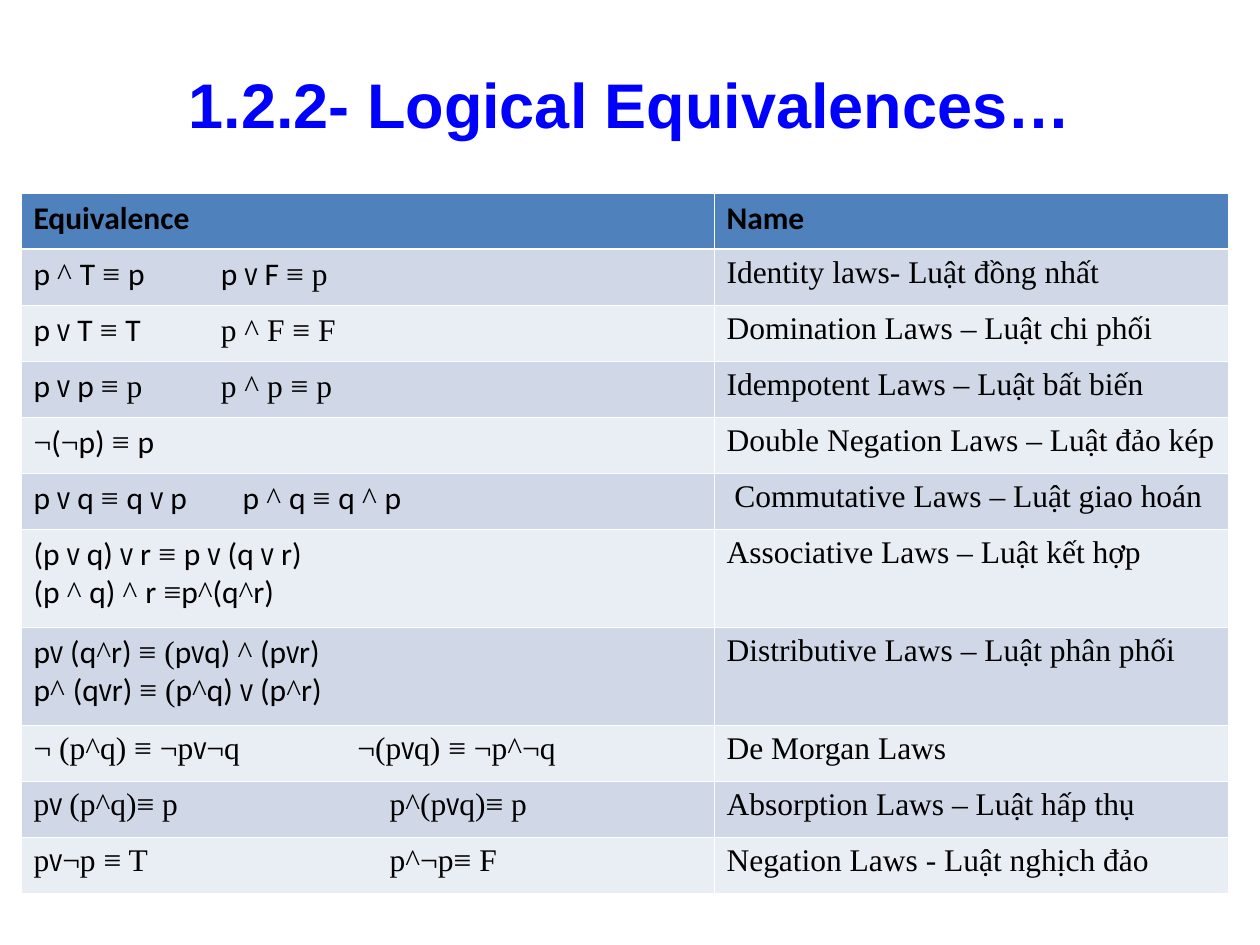
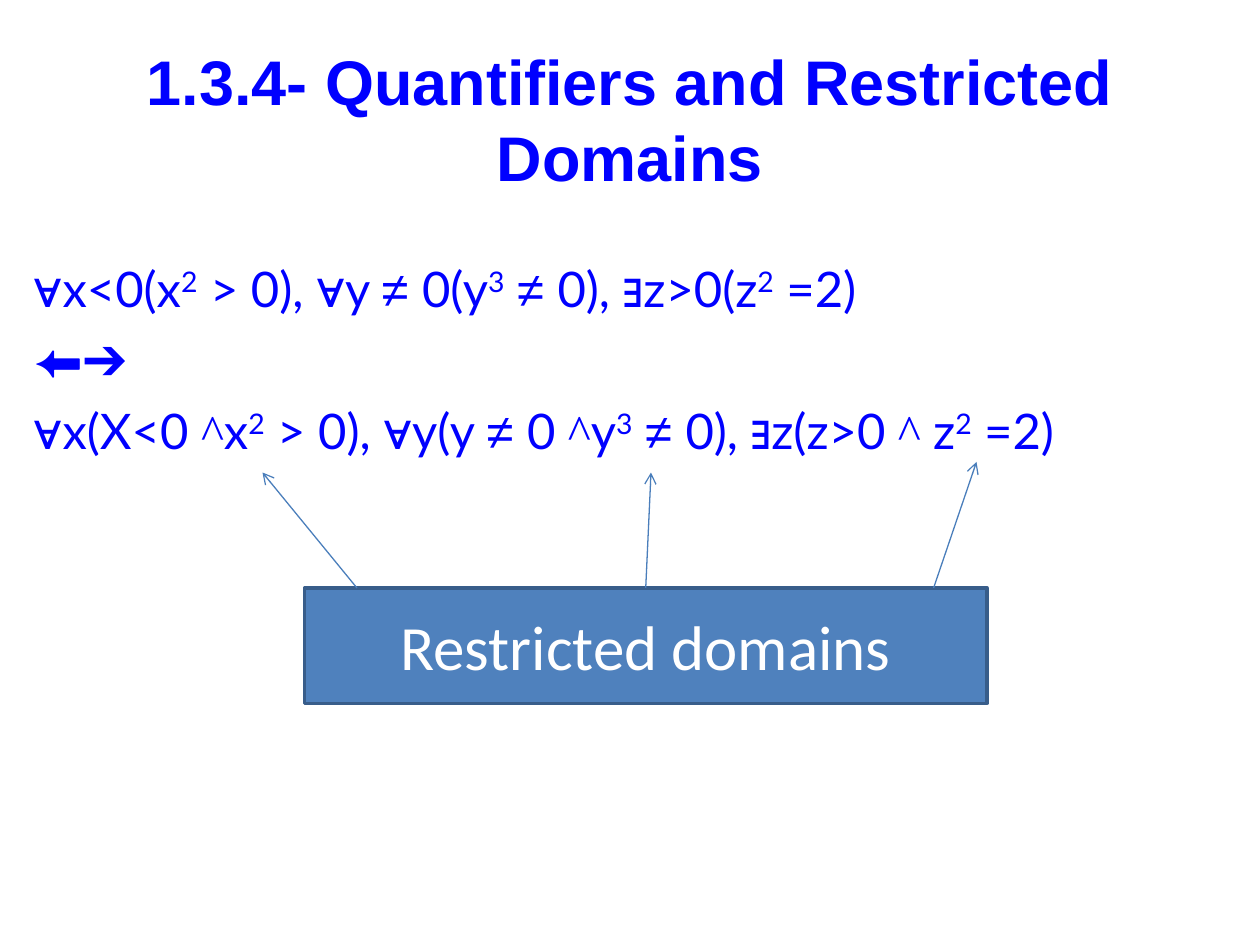
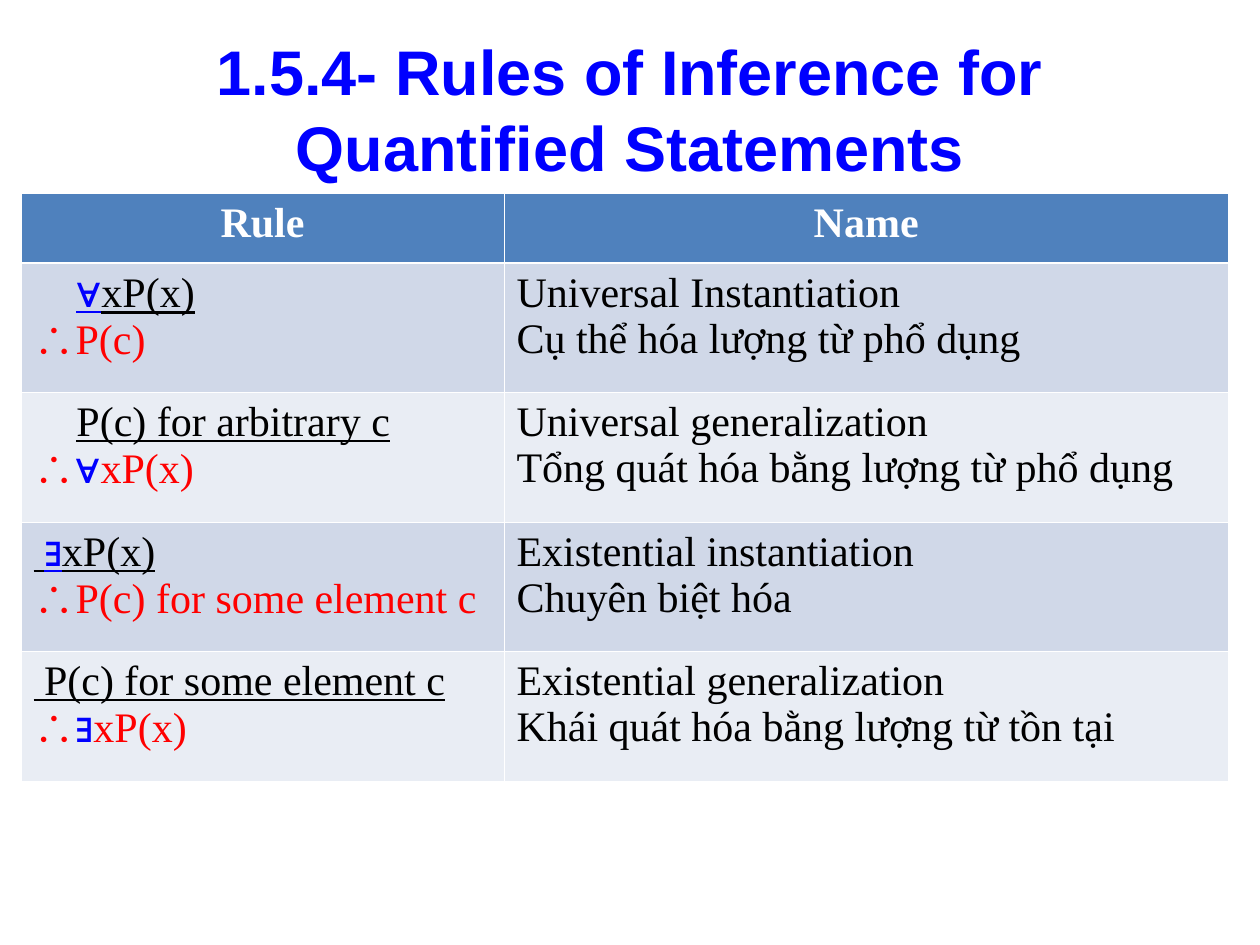
from itertools import groupby
from typing import Callable, NamedTuple, Optional

from lxml.etree import SubElement
from pptx import Presentation
from pptx.dml.color import RGBColor
from pptx.enum.shapes import MSO_CONNECTOR, MSO_SHAPE
from pptx.enum.text import MSO_ANCHOR, MSO_AUTO_SIZE, PP_ALIGN
from pptx.oxml.ns import qn
from pptx.util import Emu, Pt

EMU_PER_PX = 6350  # 144 px to the inch

BLUE, RED, BLACK, WHITE = "0000FF", "FF0000", "000000", "FFFFFF"
ACCENT, ACCENT_EDGE, ARROW_BLUE = "4F81BD", "385D8A", "4A7EBB"
BANDS = ("D0D8E8", "E9EDF4")
SERIF, SANS, NARROW = "Times New Roman", "Calibri", "Arial Narrow"
TITLE_FONT, SYMBOL_FONT, STATEMENT_FONT = "Arial", "Arial", "Lato"

TABLE_LEFT, TABLE_TOP = 24, 221
THIN, THICK = 0.45, 1.47


class Box(NamedTuple):
    left: int
    top: int
    width: int
    height: int


class Style(NamedTuple):
    font: str
    size: int
    color: str
    bold: bool = False
    underline: bool = False
    raised: bool = False


class Piece(NamedTuple):
    text: str
    style: Style


class Line(NamedTuple):
    pieces: list[Piece]
    tab: int = 0


class Law(NamedTuple):
    """Symbols get their own fonts; text inside braces is set in serif."""
    formulas: tuple[str, ...]
    name: str
    tab: int = 0


class Rule(NamedTuple):
    premise: str
    conclusion: str
    name: str
    vietnamese: str


class Pointer(NamedTuple):
    start: tuple[int, int]
    end: tuple[int, int]
    from_middle: bool = False


LAWS = (
    Law(("p ^ T ≡ p\tp v F ≡ {p}",), "Identity laws- Luật đồng nhất", 214),
    Law(("p v T ≡ T\t{p ^ F ≡ F}",), "Domination Laws – Luật chi phối", 214),
    Law(("p v p ≡ {p\tp ^ p ≡ p}",), "Idempotent Laws – Luật bất biến", 214),
    Law(("¬(¬p) ≡ p",), "Double Negation Laws – Luật đảo kép"),
    Law(("p v q ≡ q v p\tp ^ q ≡ q ^ p",), " Commutative Laws – Luật giao hoán", 239),
    Law(("(p v q) v r ≡ p v (q v r)", "(p ^ q) ^ r ≡p^(q^r)"),
        "Associative Laws – Luật kết hợp"),
    Law(("pv (q^r) ≡ {(}pvq) ^ (pvr)", "p^ (qvr) ≡ {(}p^q) v (p^r)"),
        "Distributive Laws – Luật phân phối"),
    Law(("{¬ (p^q) ≡ ¬pv¬q\t¬(pvq) ≡ ¬p^¬q}",), "De Morgan Laws", 370),
    Law(("{pv (p^q)≡ p\tp^(pvq)≡ p}",), "Absorption Laws – Luật hấp thụ", 407),
    Law(("{pv¬p ≡ T\tp^¬p≡ F}",), "Negation Laws - Luật nghịch đảo", 407),
)

STATEMENTS = (
    "∀x<0(x² > 0), ∀y ≠ 0(y³ ≠ 0), ∃z>0(z² =2)",
    "⬅➔",
    "∀x(X<0 ^x² > 0), ∀y(y ≠ 0 ^y³ ≠ 0), ∃z(z>0 ^ z² =2)",
)

POINTERS = (
    Pointer((408, 672), (300, 540)),
    Pointer((738, 672), (744, 540), from_middle=True),
    Pointer((1067, 672), (1116, 528)),
)

RULES = (
    Rule("\t∀xP(x)", "∴P(c)", "Universal Instantiation", "Cụ thể hóa lượng từ phổ dụng"),
    Rule("\tP(c) for arbitrary c", "∴∀xP(x)", "Universal generalization",
         "Tổng quát hóa bằng lượng từ phổ dụng"),
    Rule(" ∃xP(x)", "∴P(c) for some element c", "Existential instantiation",
         "Chuyên biệt hóa"),
    Rule(" P(c) for some element c", "∴∃xP(x)", "Existential generalization",
         "Khái quát hóa bằng lượng từ tồn tại"),
)
PREMISE_INDENT = 49


def px(length: int) -> Emu:
    return Emu(length * EMU_PER_PX)


def rgb(color: str) -> RGBColor:
    return RGBColor.from_string(color)


def format_run(run, style: Style) -> None:
    font = run.font
    font.name, font.size = style.font, Pt(style.size)
    font.bold, font.underline = style.bold, style.underline
    font.color.rgb = rgb(style.color)
    if style.raised:
        run._r.get_or_add_rPr().set("baseline", "30000")


def write_lines(frame, lines: list[Line], align=PP_ALIGN.LEFT) -> None:
    for index, line in enumerate(lines):
        paragraph = frame.add_paragraph() if index else frame.paragraphs[0]
        paragraph.alignment = align
        if line.tab:
            stops = SubElement(paragraph._p.get_or_add_pPr(), qn("a:tabLst"))
            SubElement(stops, qn("a:tab"), pos=str(px(line.tab)), algn="l")
        for piece in line.pieces:
            run = paragraph.add_run()
            run.text = piece.text
            format_run(run, piece.style)


def split_by_style(text: str, style_of: Callable[[str], Style]) -> list[Piece]:
    """Cut text where the style changes; a space keeps the style before it."""
    styled: list[Piece] = []
    for char in text:
        keeps = char == " " and styled and not styled[-1].style.raised
        styled.append(Piece(char, styled[-1].style if keeps else style_of(char)))
    return [Piece("".join(piece.text for piece in group), style)
            for style, group in groupby(styled, key=lambda piece: piece.style)]


def formula_pieces(formula: str) -> list[Piece]:
    pieces: list[Piece] = []
    for index, part in enumerate(formula.replace("}", "{").split("{")):
        base = SERIF if index % 2 else SANS
        fonts = {"v": NARROW} | dict.fromkeys("^≡¬", SERIF)
        pieces += split_by_style(
            part, lambda char: Style(fonts.get(char, base), 18, BLACK))
    return pieces


def statement_pieces(statement: str) -> list[Piece]:
    fonts = {"^": SERIF} | dict.fromkeys("∀∃≠⬅➔", SYMBOL_FONT)
    powers = {"²": "2", "³": "3"}
    pieces = split_by_style(statement, lambda char: Style(
        fonts.get(char, STATEMENT_FONT), 28, BLUE, raised=char in powers))
    return [Piece(powers.get(piece.text, piece.text), piece.style) for piece in pieces]


def inference_pieces(text: str, color: str, underline: bool = False) -> list[Piece]:
    def style_of(char: str) -> Style:
        font = SYMBOL_FONT if char in "∀∃∴" else SERIF
        return Style(font, 24, BLUE if char in "∀∃" else color, underline=underline)
    return split_by_style(text, style_of)


def place(shape, box: Box) -> None:
    shape.left, shape.top, shape.width, shape.height = map(px, box)


def add_titled_slide(prs, layout: int, title: str, box: Box):
    slide = prs.slides.add_slide(prs.slide_layouts[layout])
    place(slide.shapes.title, box)
    frame = slide.shapes.title.text_frame
    frame.text = title
    frame.word_wrap, frame.auto_size = True, MSO_AUTO_SIZE.NONE
    frame.vertical_anchor = MSO_ANCHOR.MIDDLE
    frame.paragraphs[0].alignment = PP_ALIGN.CENTER
    format_run(frame.paragraphs[0].runs[0], Style(TITLE_FONT, 36, BLUE, bold=True))
    return slide


def add_borders(cell, top: float, bottom: float) -> None:
    properties = cell._tc.get_or_add_tcPr()
    for side, width in (("L", THIN), ("R", THIN), ("T", top), ("B", bottom)):
        edge = SubElement(properties, qn(f"a:ln{side}"), w=str(Pt(width)))
        SubElement(SubElement(edge, qn("a:solidFill")), qn("a:srgbClr"), val=WHITE)


def add_banded_table(slide, widths: tuple[int, ...], heights: list[int],
                     rows: list[list[list[Line]]], header_align) -> None:
    table = slide.shapes.add_table(
        len(rows), len(widths), px(TABLE_LEFT), px(TABLE_TOP),
        px(sum(widths)), px(sum(heights))).table
    for column, width in zip(table.columns, widths):
        column.width = px(width)
    for index, (height, row) in enumerate(zip(heights, rows)):
        table.rows[index].height = px(height)
        for cell, lines in zip(table.rows[index].cells, row):
            add_borders(cell, THICK if index == 1 else THIN, THIN if index else THICK)
            cell.fill.solid()
            cell.fill.fore_color.rgb = rgb(BANDS[(index - 1) % 2] if index else ACCENT)
            write_lines(cell.text_frame, lines, PP_ALIGN.LEFT if index else header_align)


def plain_cell(style: Style, *texts: str) -> list[Line]:
    return [Line([Piece(text, style)]) for text in texts]


def add_equivalences(prs) -> None:
    slide = add_titled_slide(prs, 5, "1.2.2- Logical Equivalences…", Box(72, 68, 1296, 101))
    header = Style(SANS, 18, BLACK, bold=True)
    rows = [[plain_cell(header, "Equivalence"), plain_cell(header, "Name")]]
    rows += [[[Line(formula_pieces(formula), law.tab) for formula in law.formulas],
              plain_cell(Style(SERIF, 18, BLACK), law.name)] for law in LAWS]
    heights = [64] + [16 + 48 * len(law.formulas) for law in LAWS]
    add_banded_table(slide, (792, 588), heights, rows, PP_ALIGN.LEFT)


def add_pointer(slide, pointer: Pointer, target: Optional[object]) -> None:
    arrow = slide.shapes.add_connector(
        MSO_CONNECTOR.STRAIGHT, *map(px, pointer.start + pointer.end))
    if pointer.from_middle:
        arrow.begin_connect(target, 0)
    arrow.line.color.rgb = rgb(ARROW_BLUE)
    arrow.line.width = Pt(0.75)
    SubElement(arrow.line._get_or_add_ln(), qn("a:tailEnd"), type="arrow")
    SubElement(arrow._element.spPr, qn("a:effectLst"))


def add_restricted_domains(prs) -> None:
    slide = add_titled_slide(prs, 1, "1.3.4- Quantifiers and Restricted Domains",
                             Box(72, 43, 1296, 184))
    body = slide.placeholders[1]
    place(body, Box(24, 288, 1404, 276))
    frame = body.text_frame
    frame.auto_size = MSO_AUTO_SIZE.NONE
    write_lines(frame, [Line(statement_pieces(text)) for text in STATEMENTS])
    for index, paragraph in enumerate(frame.paragraphs):
        properties = paragraph._p.get_or_add_pPr()
        properties.set("marL", str(px(54)))
        properties.set("indent", str(px(-54)))
        SubElement(properties, qn("a:buNone"))
        paragraph.space_before = Pt(7 if index else 0)

    domains = slide.shapes.add_shape(MSO_SHAPE.RECTANGLE, *map(px, Box(348, 672, 780, 132)))
    domains.shadow.inherit = False
    domains.fill.solid()
    domains.fill.fore_color.rgb = rgb(ACCENT)
    domains.line.color.rgb = rgb(ACCENT_EDGE)
    domains.line.width = Pt(2)
    domains.text_frame.vertical_anchor = MSO_ANCHOR.MIDDLE
    write_lines(domains.text_frame, plain_cell(Style(SANS, 36, WHITE), "Restricted domains"),
                PP_ALIGN.CENTER)
    for pointer in POINTERS:
        add_pointer(slide, pointer, domains)


def add_inference_rules(prs) -> None:
    slide = add_titled_slide(prs, 5, "1.5.4- Rules of Inference for Quantified Statements",
                             Box(72, 43, 1296, 161))
    header = Style(SERIF, 24, WHITE, bold=True)
    rows = [[plain_cell(header, "Rule"), plain_cell(header, "Name")]]
    rows += [[[Line(inference_pieces(rule.premise, BLACK, underline=True), PREMISE_INDENT),
               Line(inference_pieces(rule.conclusion, RED))],
              plain_cell(Style(SERIF, 24, BLACK), rule.name, rule.vietnamese)]
             for rule in RULES]
    add_banded_table(slide, (552, 828), [80] + [148] * len(RULES), rows, PP_ALIGN.CENTER)


def main() -> None:
    prs = Presentation()
    prs.slide_width, prs.slide_height = px(1440), px(1080)
    add_equivalences(prs)
    add_restricted_domains(prs)
    add_inference_rules(prs)
    prs.save("out.pptx")


if __name__ == "__main__":
    main()
